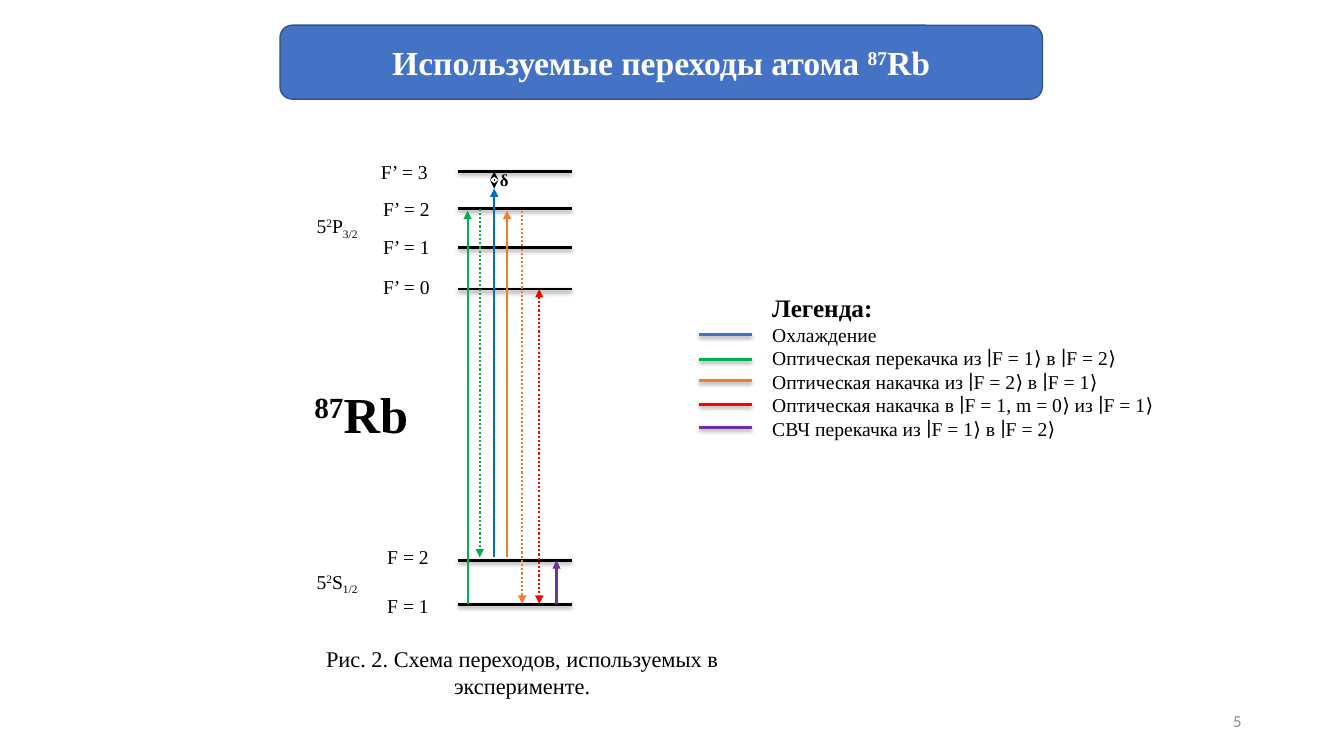
from lxml.etree import SubElement
from pptx import Presentation
from pptx.dml.color import RGBColor
from pptx.enum.dml import MSO_LINE
from pptx.enum.shapes import MSO_CONNECTOR, MSO_SHAPE
from pptx.enum.text import MSO_ANCHOR, MSO_AUTO_SIZE, PP_ALIGN
from pptx.oxml.ns import qn
from pptx.util import Pt

SERIF = "Times New Roman"
BLACK, WHITE, GRAY = "000000", "FFFFFF", "888888"
BLUE, GREEN, ORANGE, RED, PURPLE = "4472C4", "00B050", "ED7D31", "FF0000", "7030A0"
COOLING = "0070C0"
SUPER, SUB = 30000, -25000
LEVEL_LEFT, LEVEL_RIGHT = 327, 408.5
LEVELS = [
    ("F = 2", 400.3, 269.5, 386),
    ("F = 1", 432, 269.5, 420.5),
    ("F’ = 0", 206.5, 266.5, 193),
    ("F’ = 1", 177, 266.5, 164),
    ("F’ = 2", 149, 266.5, 137),
    ("F’ = 3", 122.5, 265, 111),
]
TRANSITIONS = [
    (334, 431.3, 150.5, GREEN, {"tail": "triangle"}),
    (342.7, 149, 398.2, GREEN, {"tail": "triangle", "dotted": True}),
    (353, 398.2, 134.6, COOLING, {"tail": "triangle"}),
    (353, 122.5, 134.6, BLACK, {"head": "stealth", "tail": "stealth", "width": 0.75}),
    (362.2, 398.2, 150.5, ORANGE, {"tail": "triangle"}),
    (373, 150.5, 431.3, ORANGE, {"tail": "triangle", "dotted": True}),
    (385.2, 206.5, 431.3, RED, {"head": "triangle", "tail": "triangle", "dotted": True}),
    (397.5, 431.3, 400.3, PURPLE, {"tail": "triangle"}),
]
LEGEND = [
    ("Охлаждение", 239.2, BLUE),
    ("Оптическая перекачка из ∣F = 1⟩ в ∣F = 2⟩", 257, GREEN),
    ("Оптическая накачка из ∣F = 2⟩ в ∣F = 1⟩", 272, ORANGE),
    ("Оптическая накачка в ∣F = 1, m = 0⟩ из ∣F = 1⟩", 288.7, RED),
    ("СВЧ перекачка из ∣F = 1⟩ в ∣F = 2⟩", 305.3, PURPLE),
]


def color(value):
    """Return the colour for a hex string."""
    return RGBColor.from_string(value)


def set_values(target, values):
    """Set every attribute named in a dict of format values."""
    for name, value in values.items():
        setattr(target, name, value)


def add_runs(paragraph, pieces, size, ink=BLACK, bold=False, font=SERIF):
    """Add runs of (text, baseline) pieces in one format."""
    for text, baseline in pieces:
        run = paragraph.add_run()
        run.text = text
        set_values(run.font, {"name": font, "size": Pt(size), "bold": bold})
        run.font.color.rgb = color(ink)
        if baseline:
            run._r.get_or_add_rPr().set("baseline", str(baseline))


def add_text(slide, box, paragraphs, align=PP_ALIGN.LEFT, **frame_values):
    """Add a wrapping text box of (pieces, format) paragraphs."""
    frame = slide.shapes.add_textbox(*map(Pt, box)).text_frame
    defaults = {"word_wrap": True, "auto_size": MSO_AUTO_SIZE.SHAPE_TO_FIT_TEXT}
    set_values(frame, defaults | frame_values)
    for index, (pieces, run_format) in enumerate(paragraphs):
        paragraph = frame.add_paragraph() if index else frame.paragraphs[0]
        paragraph.alignment = align
        add_runs(paragraph, pieces, **run_format)


def add_line(slide, start, end, ink, width=1.5, dotted=False, shadow=False, **arrowheads):
    """Add a straight line with optional dots, shadow and head or tail arrowheads."""
    connector = slide.shapes.add_connector(MSO_CONNECTOR.STRAIGHT, *map(Pt, start + end))
    connector.line.width = Pt(width)
    connector.line.color.rgb = color(ink)
    if dotted:
        connector.line.dash_style = MSO_LINE.ROUND_DOT
    properties = connector._element.spPr
    outline = connector.line._get_or_add_ln()
    for end_name in ("head", "tail"):
        if end_name in arrowheads:
            SubElement(outline, qn(f"a:{end_name}End"), type=arrowheads[end_name])
    effects = SubElement(properties, qn("a:effectLst"))
    if shadow:
        outer = SubElement(effects, qn("a:outerShdw"), blurRad=str(Pt(3.1)),
                           dist=str(Pt(1.6)), dir="5400000", rotWithShape="0")
        shade = SubElement(outer, qn("a:srgbClr"), val=BLACK)
        SubElement(shade, qn("a:alpha"), val="38000")


def add_title(slide):
    """Add the rounded title banner."""
    shape = slide.shapes.add_shape(
        MSO_SHAPE.ROUNDED_RECTANGLE, *map(Pt, (200, 18, 544.5, 52.8)))
    shape.shadow.inherit = False
    shape.fill.solid()
    shape.fill.fore_color.rgb = color(BLUE)
    shape.line.color.rgb = color("31538F")
    shape.line.width = Pt(1)
    shape.text_frame.vertical_anchor = MSO_ANCHOR.MIDDLE
    paragraph = shape.text_frame.paragraphs[0]
    paragraph.alignment = PP_ALIGN.CENTER
    pieces = [("Используемые переходы атома ", 0), ("87", SUPER), ("Rb", 0)]
    add_runs(paragraph, pieces, 24, WHITE, True)


def add_diagram(slide):
    """Add the energy levels, their labels and the transitions."""
    for label, y, left, top in LEVELS:
        add_line(slide, (LEVEL_LEFT, y), (LEVEL_RIGHT, y), BLACK, 2, shadow=True)
        add_text(slide, (left, top, 70, 24.2), [([(label, 0)], {"size": 14})])
    for letter, fraction, top in (("S", "1/2", 403.2), ("P", "3/2", 149)):
        pieces = [("5", 0), ("2", SUPER), (letter, 0), (fraction, SUB)]
        add_text(slide, (219, top, 65, 24.2), [(pieces, {"size": 14})])
    for x, start, end, ink, style in TRANSITIONS:
        add_line(slide, (x, start), (x, end), ink, **style)
    add_text(slide, (350, 118, 23, 21.8), [([("δ", 0)], {"size": 12, "bold": True})])
    add_text(slide, (217.5, 270, 119.5, 51),
             [([("87", SUPER), ("Rb", 0)], {"size": 36, "bold": True})])


def add_legend(slide):
    """Add the legend strokes and their text."""
    paragraphs = [([("Легенда:", 0)], {"size": 18, "bold": True})]
    for label, y, ink in LEGEND:
        add_line(slide, (499.5, y), (537.3, y), ink, 2, shadow=True)
        paragraphs.append(([(label, 0)], {"size": 14}))
    add_text(slide, (544.5, 205.2, 298, 147.6), paragraphs)


def main():
    """Build the slide and save it."""
    presentation = Presentation()
    set_values(presentation, {"slide_width": Pt(960), "slide_height": Pt(540)})
    slide = presentation.slides.add_slide(presentation.slide_layouts[6])
    add_diagram(slide)
    add_legend(slide)
    add_title(slide)
    caption = "Рис. 2. Схема переходов, используемых в эксперименте."
    add_text(slide, (214, 457.2, 318, 46), [([(caption, 0)], {"size": 16})], PP_ALIGN.CENTER)
    number_format = {"size": 12, "ink": GRAY, "font": "Calibri"}
    add_text(slide, (678, 500.5, 216, 28.8), [([("5", 0)], number_format)], PP_ALIGN.RIGHT,
             auto_size=MSO_AUTO_SIZE.NONE, vertical_anchor=MSO_ANCHOR.MIDDLE)
    presentation.save("out.pptx")


if __name__ == "__main__":
    main()
